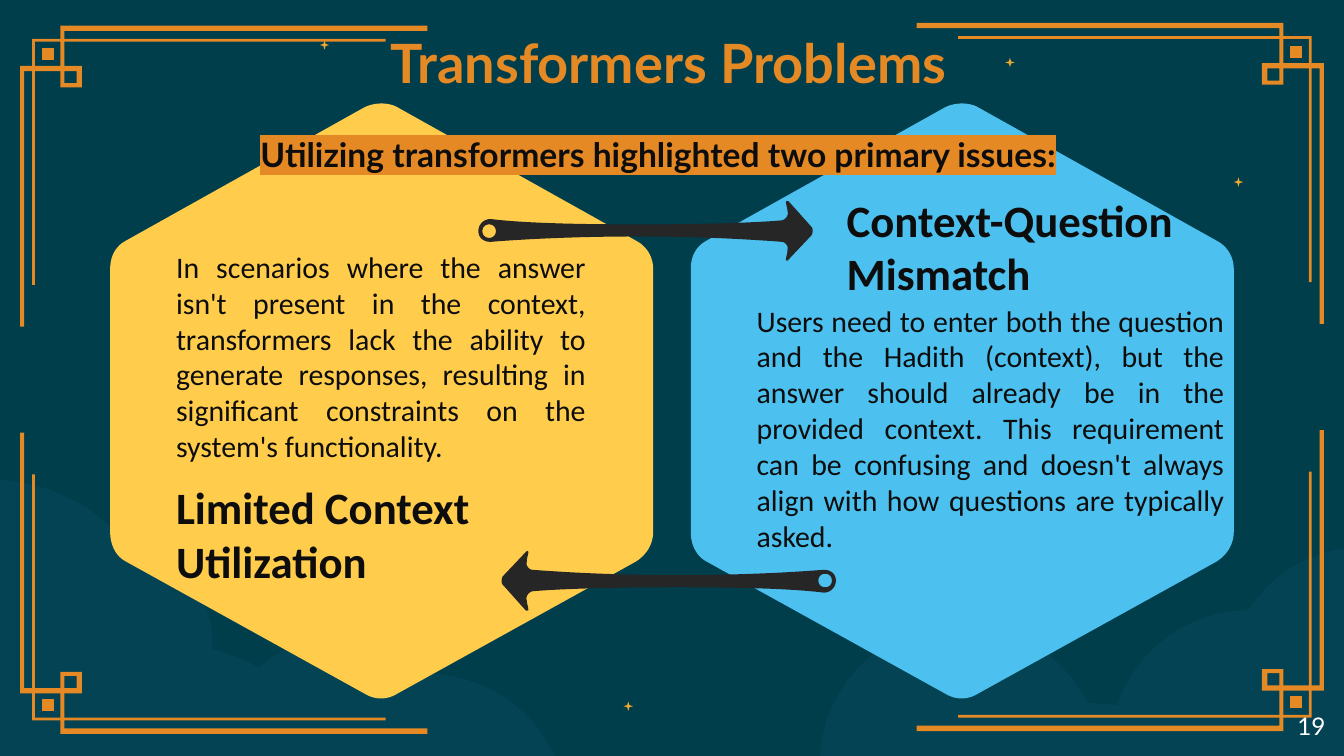
from dataclasses import dataclass
from typing import Any
from lxml.etree import SubElement
from pptx import Presentation
from pptx.dml.color import RGBColor
from pptx.enum.shapes import MSO_SHAPE
from pptx.enum.text import MSO_ANCHOR, MSO_AUTO_SIZE, PP_ALIGN
from pptx.oxml.ns import qn
from pptx.util import Inches, Pt


@dataclass(frozen=True)
class Theme:
    back: str = "003E4C"
    cloud: str = "044354"
    star: str = "EDA82F"
    gold: str = "E58925"
    yellow: str = "FFCC4C"
    blue: str = "4CC1EF"
    arrow: str = "262626"
    ink: str = "0D0D0D"
    white: str = "FFFFFF"
    title: float = 29
    head: float = 24
    lead: float = 18
    body: float = 16
    page: float = 13


def trace(steps):
    points = [steps[0]]
    for step in steps[1:]:
        if len(step) == 2:
            points.append(step)
            continue
        knots = [points[-1], step[:2], step[2:4], step[4:]]
        for n in range(1, 13):
            t = n / 12
            parts = ((1 - t) ** 3, 3 * t * (1 - t) ** 2, 3 * t * t * (1 - t), t ** 3)
            points.append(tuple(sum(w * k[i] for w, k in zip(parts, knots)) for i in (0, 1)))
    return points


@dataclass
class Deck:
    theme: Theme
    slide: Any

    def paint(self, shape, color):
        shape.shadow.inherit = False
        shape.fill.solid()
        shape.fill.fore_color.rgb = RGBColor.from_string(color)
        shape.line.fill.background()

    def outline(self, paths, color, move=lambda x, y: (x, y)):
        loops = [[tuple(Inches(v) for v in move(*p)) for p in trace(path)] for path in paths]
        pen = self.slide.shapes.build_freeform(*loops[0][0], scale=1.0)
        pen.add_line_segments(loops[0][1:], close=True)
        for loop in loops[1:]:
            pen.move_to(*loop[0])
            pen.add_line_segments(loop[1:], close=True)
        self.paint(pen.convert_to_shape(), color)

    def star(self, x, y):
        shape = self.slide.shapes.add_shape(
            MSO_SHAPE.STAR_4_POINT, Inches(x), Inches(y), Inches(0.07), Inches(0.07))
        shape.adjustments[0] = 0.16
        self.paint(shape, self.theme.star)

    def text(self, words, place, size, color, font="Calibri", bold=False,
             align=PP_ALIGN.LEFT, pad=(0, 0.05), mark=None, **extra):
        frame = self.slide.shapes.add_textbox(*map(Inches, place)).text_frame
        side, end = map(Inches, pad)
        style = {"word_wrap": True, "auto_size": MSO_AUTO_SIZE.NONE,
                 "margin_left": side, "margin_right": side,
                 "margin_top": end, "margin_bottom": end, **extra}
        for name, value in style.items():
            setattr(frame, name, value)
        line = frame.paragraphs[0]
        line.alignment = align
        run = line.add_run()
        run.text = words
        for name, value in {"name": font, "size": Pt(size), "bold": bold}.items():
            setattr(run.font, name, value)
        run.font.color.rgb = RGBColor.from_string(color)
        if mark:
            props = run._r.get_or_add_rPr()
            light = SubElement(props, qn("a:highlight"))
            SubElement(light, qn("a:srgbClr")).set("val", mark)
            props.find(qn("a:solidFill")).addnext(light)


CLOUDS = [
    [(0.99, 4.12), (1.35, 4.15, 1.61, 4.46, 1.58, 4.83), (1.7, 4.86, 1.82, 4.91, 1.93, 4.97),
     (2.21, 4.69, 2.67, 4.69, 2.95, 4.97), (3, 5.03), (3.47, 4.95, 3.94, 5.2, 4.13, 5.63),
     (-0.01, 5.63), (-0.01, 3.57), (0.4, 3.59, 0.77, 3.79, 0.99, 4.12)],
    [(7.14, 4.64), (7.55, 4.64, 7.91, 4.87, 8.09, 5.23), (8.15, 5.23, 8.25, 5.24, 8.31, 5.25),
     (8.45, 4.83, 8.85, 4.54, 9.29, 4.54), (9.45, 4.29, 9.71, 4.12, 10, 4.08),
     (10, 5.63), (6.1, 5.63), (6.13, 5.08, 6.59, 4.64, 7.14, 4.64)],
]


def box(x, y, side):
    return [(x, y), (x, y + side), (x + side, y + side), (x + side, y)]


CORNER = [
    [[(0.24, 0.29), (0.24, 2.12), (0.26, 2.12), (0.26, 0.31), (2.87, 0.31), (2.87, 0.29)]],
    [[(0.45, 0.19), (0.45, 0.49), (0.15, 0.49), (0.15, 2.43), (0.18, 2.43), (0.18, 0.53),
      (0.48, 0.53), (0.48, 0.23), (3.18, 0.23), (3.18, 0.19)]],
    [box(0.45, 0.49, 0.16), box(0.48, 0.53, 0.09)[::-1]],
    [box(0.31, 0.36, 0.09)],
]
HEXAGON = [[
    (4.86, 3.96), (4.86, 2), (4.86, 1.91, 4.81, 1.83, 4.73, 1.79),
    (2.96, 0.8), (2.89, 0.76, 2.79, 0.76, 2.71, 0.8),
    (0.94, 1.79), (0.86, 1.83, 0.82, 1.91, 0.82, 2),
    (0.82, 3.96), (0.82, 4.05, 0.86, 4.14, 0.94, 4.18),
    (2.71, 5.16), (2.79, 5.21, 2.88, 5.21, 2.96, 5.16),
    (4.73, 4.18), (4.81, 4.13, 4.86, 4.05, 4.86, 3.96)]]
ARROW = [
    [(6.04, 1.69), (5.87, 1.5), (5.86, 1.49, 5.84, 1.5, 5.85, 1.51),
     (5.85, 1.53, 5.86, 1.55, 5.86, 1.57), (5.87, 1.6, 5.85, 1.63, 5.82, 1.64),
     (5.58, 1.66, 5.18, 1.67, 4.74, 1.67), (4.29, 1.67, 3.89, 1.66, 3.65, 1.63),
     (3.6, 1.63, 3.56, 1.67, 3.56, 1.72), (3.56, 1.77, 3.6, 1.8, 3.65, 1.8),
     (3.89, 1.78, 4.29, 1.76, 4.74, 1.76), (5.18, 1.76, 5.57, 1.78, 5.82, 1.8),
     (5.84, 1.8, 5.87, 1.83, 5.86, 1.86), (5.86, 1.89, 5.85, 1.91, 5.85, 1.92),
     (5.84, 1.94, 5.86, 1.94, 5.86, 1.94), (6.04, 1.75), (6.05, 1.73, 6.05, 1.7, 6.04, 1.69)],
    [(3.64, 1.77), (3.61, 1.77, 3.59, 1.75, 3.59, 1.72), (3.59, 1.69, 3.61, 1.67, 3.64, 1.67),
     (3.67, 1.67, 3.69, 1.69, 3.69, 1.72), (3.69, 1.75, 3.67, 1.77, 3.64, 1.77)],
]


def main():
    show = Presentation()
    show.slide_width = Inches(10)
    show.slide_height = show.slide_width * 9 // 16
    look = Theme()
    deck = Deck(look, show.slides.add_slide(show.slide_layouts[6]))
    fill = deck.slide.background.fill
    fill.solid()
    fill.fore_color.rgb = RGBColor.from_string(look.back)

    for spot in [(7.48, 0.43), (9.18, 1.32), (2.38, 0.3), (4.64, 5.22)]:
        deck.star(*spot)
    for cloud in CLOUDS:
        deck.outline([cloud], look.cloud)
    for low in (False, True):
        for right in (True, False):
            def flip(x, y):
                drop = 5.65 - y if low else y
                return (10 - x, drop - 0.02) if right else (x, drop)
            for part in CORNER:
                deck.outline(part, look.gold, flip)

    wide = {"font": "Lato", "pad": (0.1, 0.1)}
    grow = {"auto_size": MSO_AUTO_SIZE.SHAPE_TO_FIT_TEXT}
    head = {"bold": True, "vertical_anchor": MSO_ANCHOR.BOTTOM, **grow}
    body = {"align": PP_ALIGN.JUSTIFY, **grow}
    deck.text("19", (9.36, 5.19, 0.6, 0.43), look.page, look.white, align=PP_ALIGN.RIGHT, **wide)
    deck.text("Transformers Problems", (2.77, 0.12, 4.41, 0.78), look.title, look.gold,
              bold=True, align=PP_ALIGN.CENTER, **wide)

    deck.outline(HEXAGON, look.yellow)
    deck.outline(HEXAGON, look.blue, lambda x, y: (x + 4.32, y))
    deck.outline(ARROW, look.arrow)
    deck.outline(ARROW, look.arrow, lambda x, y: (9.78 - x, 6.04 - y))

    deck.text("Context-Question Mismatch", (6.3, 1.37, 2.81, 0.91), look.head, look.ink, **head)
    deck.text("Users need to enter both the question and the Hadith (context), but the answer "
              "should already be in the provided context. This requirement can be confusing "
              "and doesn't always align with how questions are typically asked.",
              (5.63, 2.2, 3.48, 1.99), look.body, look.ink, **body)
    deck.text("Limited Context Utilization", (1.31, 3.51, 3.05, 0.91), look.head, look.ink, **head)
    deck.text("In scenarios where the answer isn't present in the context, transformers lack "
              "the ability to generate responses, resulting in significant constraints on the "
              "system's functionality.",
              (1.31, 1.8, 3.05, 1.72), look.body, look.ink, **body)
    deck.text("Utilizing transformers highlighted two primary issues:", (1.84, 0.9, 7.46, 0.5),
              look.lead, look.ink, bold=True, mark=look.gold, **wide, **grow)
    show.save("out.pptx")


if __name__ == "__main__":
    main()
